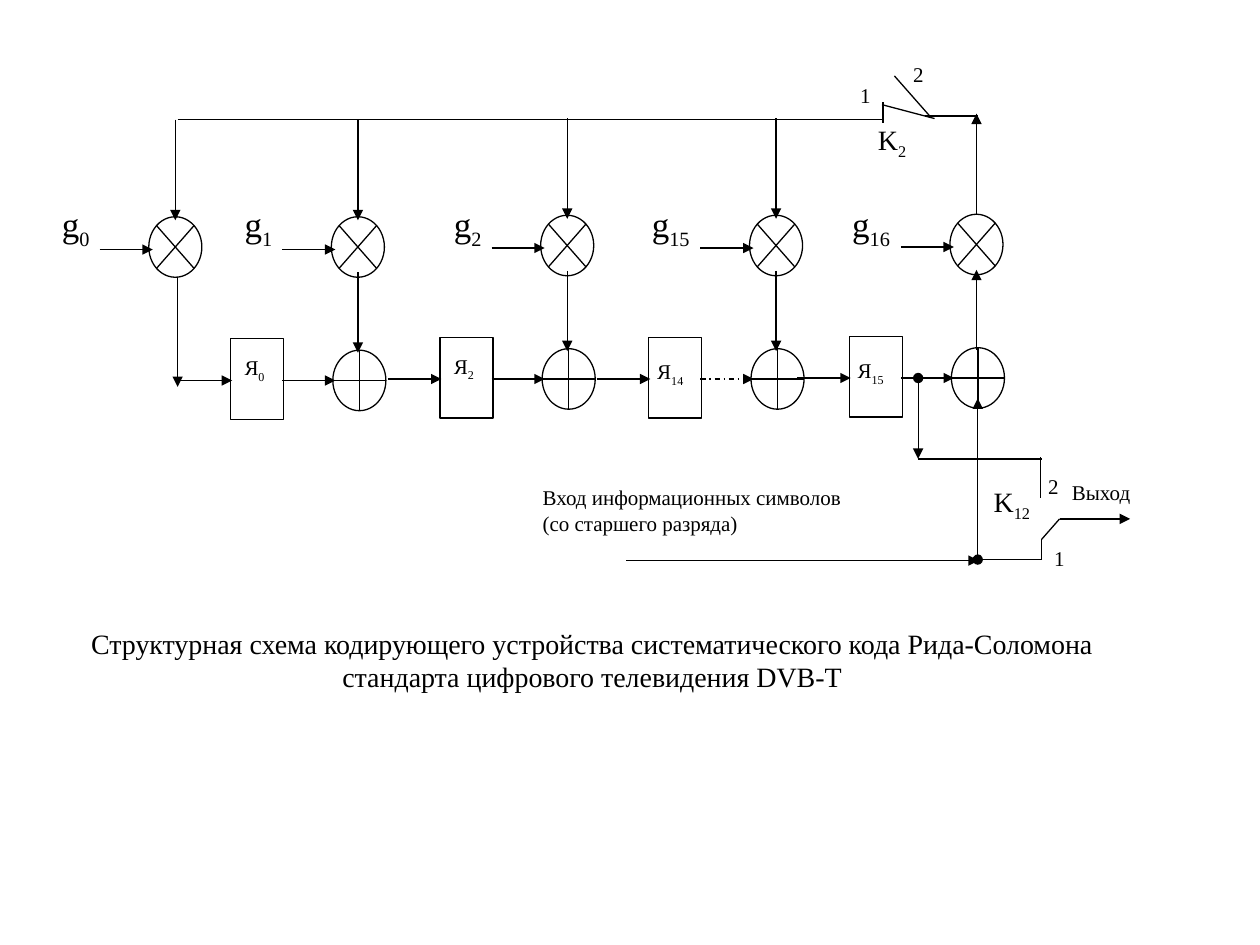
from lxml import etree
from pptx import Presentation
from pptx import util as u
from pptx.dml.color import RGBColor
from pptx.enum import dml, shapes, text
from pptx.oxml.ns import qn

BLACK = RGBColor(0, 0, 0)
WHITE = RGBColor(255, 255, 255)
FONT = "Times New Roman"
NODE_WIDTH, NODE_HEIGHT = 1.07, 1.22
REGISTER_HEIGHT = 1.63
MIDDLE = NODE_WIDTH / 2

# gain index, left and top of the multiplier, index of the register before its adder
TAPS = [
    ("0", 3.0, 4.37, None),
    ("1", 6.68, 4.37, "0"),
    ("2", 10.9, 4.34, "2"),
    ("15", 15.11, 4.34, "14"),
    ("16", 19.15, 4.32, "15"),
]


def set_values(target, values):
    for name, value in values.items():
        setattr(target, name, value)


def add_line(slide, start, end, head=None, tail=None, dash=None):
    """Draw a straight line; head and tail name the ends at start and end."""
    points = [u.Cm(value) for value in (*start, *end)]
    line = slide.shapes.add_connector(shapes.MSO_CONNECTOR.STRAIGHT, *points)
    line.line.color.rgb = BLACK
    line.line.width = u.Pt(0.75)
    if dash:
        line.line.dash_style = dash
    outline = line.line._get_or_add_ln()
    for tag, kind in (("a:headEnd", head), ("a:tailEnd", tail)):
        if kind:
            etree.SubElement(outline, qn(tag)).set("type", kind)
    etree.SubElement(line._element.spPr, qn("a:effectLst"))


def add_arrow(slide, start, end, **options):
    add_line(slide, start, end, tail="triangle", **options)


def add_node(slide, kind, left, top, height=NODE_HEIGHT):
    box = [u.Cm(value) for value in (left, top, NODE_WIDTH, height)]
    shape = slide.shapes.add_shape(kind, *box)
    shape.shadow.inherit = False
    shape.fill.solid()
    shape.fill.fore_color.rgb = WHITE
    shape.line.color.rgb = BLACK
    shape.line.width = u.Pt(0.75)


def add_label(slide, left, top, width, height, lines, size=12, subscript="",
              align=text.PP_ALIGN.LEFT, filled=False):
    box = [u.Cm(value) for value in (left, top, width, height)]
    if filled:
        shape = slide.shapes.add_shape(shapes.MSO_SHAPE.RECTANGLE, *box)
        shape.shadow.inherit = False
        shape.fill.solid()
        shape.fill.fore_color.rgb = WHITE
        shape.line.fill.background()
    else:
        shape = slide.shapes.add_textbox(*box)
    frame = shape.text_frame
    set_values(frame, {"word_wrap": True, "vertical_anchor": text.MSO_ANCHOR.TOP})
    for number, words in enumerate(lines):
        paragraph = frame.add_paragraph() if number else frame.paragraphs[0]
        paragraph.alignment = align
        for part in filter(None, (words, subscript)):
            run = paragraph.add_run()
            run.text = part
            set_values(run.font, {"name": FONT, "size": u.Pt(size)})
            run.font.color.rgb = BLACK
            if part == subscript:
                run._r.get_or_add_rPr().set("baseline", "-25000")


def add_multiplier(slide, left, top, index, upward):
    """Multiplier with its link to the feedback bus and its gain input."""
    add_node(slide, shapes.MSO_SHAPE.FLOWCHART_SUMMING_JUNCTION, left, top)
    x = left + MIDDLE
    if upward:
        add_arrow(slide, (x, top), (x, top - 2.03))
    else:
        add_arrow(slide, (x, top - 1.96), (x, top + 0.07))
    add_arrow(slide, (left - 0.99, top + 0.66), (left + 0.08, top + 0.66))
    offset, width = (2.0, 1.42) if len(index) == 1 else (2.22, 1.78)
    add_label(slide, left - offset, 3.96, width, 1.63, ["g"], 20, index)


def add_register_and_adder(slide, left, top, index, upward, dash):
    """Register feeding an adder whose box starts at left, top."""
    register_left, register_top = left - 2.06, top - 0.23
    x, y = left + MIDDLE - 0.03, top + 0.61
    add_node(slide, shapes.MSO_SHAPE.RECTANGLE, register_left, register_top,
             REGISTER_HEIGHT)
    add_node(slide, shapes.MSO_SHAPE.FLOWCHART_OR, left, top)
    add_arrow(slide, (register_left - 1.05, y), (register_left + 0.03, y))
    add_arrow(slide, (left - 1.02, y), (left + 0.05, y), dash=dash)
    ends = [(x, top - 1.57), (x, top + 0.05)]
    add_arrow(slide, *(reversed(ends) if upward else ends))
    shift, drop, width = (0.03, 0.2, 1.07) if len(index) == 1 else (-0.08, 0.31, 1.42)
    add_label(slide, register_left + shift, register_top + drop, width, NODE_HEIGHT,
              ["Я"], 12, index)


def add_tap(slide, gain, left, top, register):
    upward = gain == TAPS[-1][0]
    add_multiplier(slide, left, top, gain, upward)
    if register is None:
        add_arrow(slide, (left + 0.58, top + 1.22), (left + 0.58, top + 3.43))
    else:
        dash = dml.MSO_LINE.DASH_DOT if register == "14" else None
        add_register_and_adder(slide, left + 0.03, top + 2.69, register, upward, dash)


def add_feedback_switch(slide, left, top):
    add_label(slide, left + 1.07, top, 0.71, 0.81, ["2"])
    add_label(slide, left, top + 0.41, 0.71, 0.81, ["1"])
    add_label(slide, left + 0.36, top + 1.22, 1.42, 1.17, ["K"], 16, "2")
    for x1, y1, x2, y2 in [
        (-13.51, 1.29, 0.71, 1.29),
        (1.55, 1.22, 2.62, 1.22),
        (0.71, 0.94, 0.71, 1.35),
        (0.69, 0.99, 1.75, 1.27),
        (0.94, 0.41, 1.68, 1.25),
    ]:
        add_line(slide, (left + x1, top + y1), (left + x2, top + y2))


def add_input_and_output(slide, left, top):
    add_label(slide, left + 10.19, top + 1.8, 0.71, 0.81, ["2"], filled=True)
    add_label(slide, left + 10.31, top + 3.25, 0.71, 1.04, ["1"], filled=True)
    add_label(slide, left + 9.09, top + 2.03, 1.42, 1.17, ["K"], 16, "12")
    add_label(slide, left, top + 2.03, 7.82, 1.63,
              ["Вход информационных символов", "(со старшего разряда)"])
    add_label(slide, left + 10.67, top + 1.93, 2.13, 1.22, ["Выход"])
    for x1, y1, x2, y2, head, tail in [
        (9.02, 3.66, 9.02, 0.41, "oval", "triangle"),
        (1.93, 3.68, 9.04, 3.68, None, "triangle"),
        (8.92, 3.66, 10.31, 3.66, None, None),
        (10.31, 3.25, 10.31, 3.66, None, None),
        (10.67, 2.84, 12.09, 2.84, None, "triangle"),
        (10.67, 2.84, 10.31, 3.25, None, None),
        (10.29, 1.6, 10.29, 2.41, None, None),
        (7.82, 0, 7.82, 1.63, "oval", "triangle"),
        (7.82, 1.63, 10.31, 1.63, None, None),
    ]:
        add_line(slide, (left + x1, top + y1), (left + x2, top + y2), head, tail)


def add_caption(slide, left, top):
    add_label(slide, left, top, 20.98, 1.63, [
        "Структурная схема кодирующего устройства систематического кода Рида-Соломона",
        "стандарта цифрового телевидения DVB-T",
    ], 16, align=text.PP_ALIGN.CENTER, filled=True)


def main():
    presentation = Presentation()
    set_values(presentation, {"slide_width": u.Cm(25.4), "slide_height": u.Cm(19.05)})
    slide = presentation.slides.add_slide(presentation.slide_layouts[6])
    for tap in TAPS:
        add_tap(slide, *tap)
    add_feedback_switch(slide, 17.09, 1.12)
    add_input_and_output(slide, 10.69, 7.62)
    add_caption(slide, 1.45, 12.5)
    presentation.save("out.pptx")


if __name__ == "__main__":
    main()
